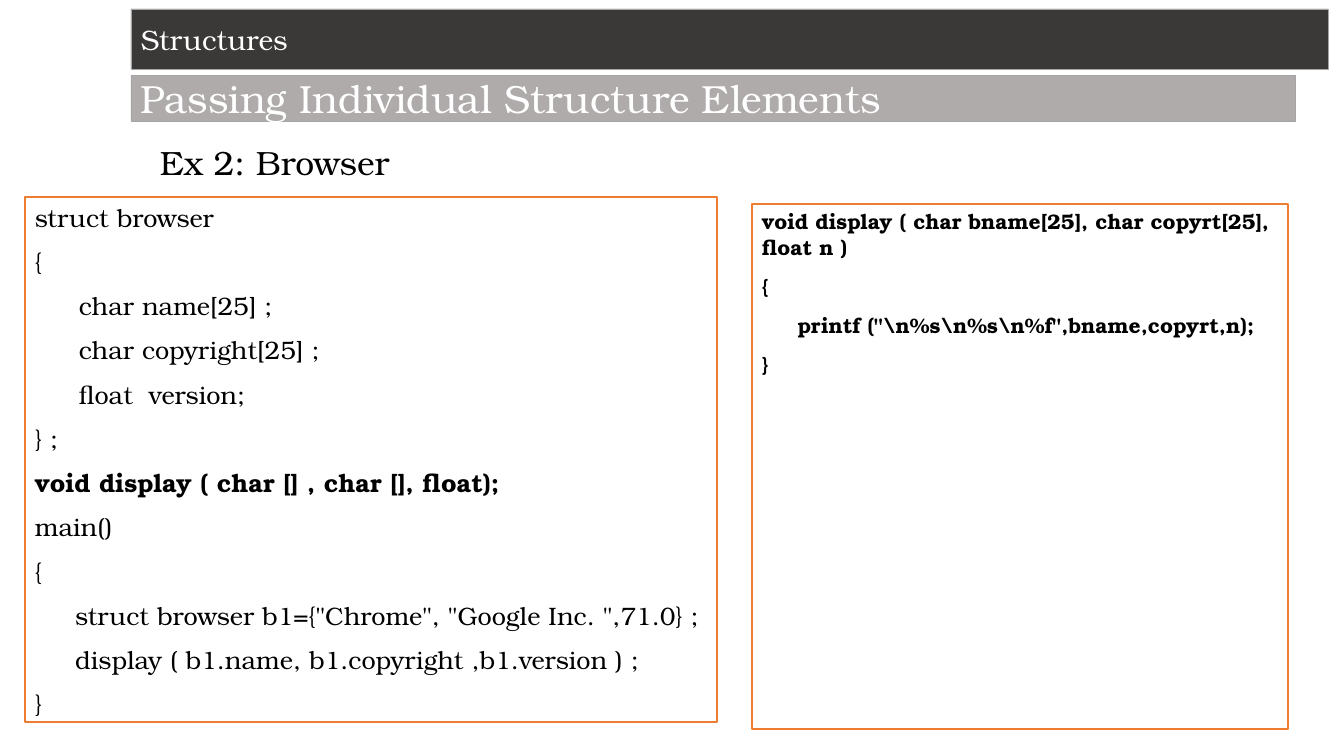
from dataclasses import dataclass

from pptx import Presentation
from pptx import util as u
from pptx.dml import color
from pptx.enum import shapes, text

PX = 914400 / 100.8


@dataclass(frozen=True)
class Theme:
    font: str = "TeX Gyre Bonum"
    ink: str = "000000"
    paper: str = "FFFFFF"
    dark: str = "3B3838"
    grey: str = "AFABAB"
    banner_line: str = "A5A5A5"
    panel_line: str = "ED7D31"
    chapter_size: int = 20
    topic_size: int = 28
    example_size: int = 24
    program_size: int = 18
    function_size: int = 15


THEME = Theme()


@dataclass(frozen=True)
class Line:
    text: str
    bold: bool = False
    indent: int = 0


@dataclass(frozen=True)
class Box:
    left: int
    top: int
    width: int
    height: int
    lines: tuple[Line, ...]
    size: int
    ink: str
    fill: str
    border: str
    border_width: float
    anchor: text.MSO_ANCHOR


def px(length: int) -> u.Emu:
    return u.Emu(round(length * PX))


def rgb(value: str) -> color.RGBColor:
    return color.RGBColor.from_string(value)


def panel(left: int, top: int, width: int, size: int, lines: tuple[Line, ...]) -> Box:
    return Box(left, top, width, 525, lines, size, THEME.ink, THEME.paper,
               THEME.panel_line, 1.25, text.MSO_ANCHOR.TOP)


def banner(top: int, width: int, height: int, size: int, fill: str, title: str) -> Box:
    return Box(131, top, width, height, (Line(title),), size, THEME.paper, fill,
               THEME.banner_line, 0.5, text.MSO_ANCHOR.MIDDLE)


def write_lines(frame, lines: tuple[Line, ...], size: int, ink: str) -> None:
    frame.word_wrap = True
    for index, line in enumerate(lines):
        paragraph = frame.add_paragraph() if index else frame.paragraphs[0]
        paragraph.text = line.text
        paragraph.alignment = text.PP_ALIGN.LEFT
        if index:
            paragraph.space_before = u.Pt(10)
        if line.indent:
            properties = paragraph._p.get_or_add_pPr()
            properties.set("marL", str(px(line.indent)))
            properties.set("indent", "0")
        paragraph.font.name = THEME.font
        paragraph.font.size = u.Pt(size)
        paragraph.font.bold = line.bold
        paragraph.font.color.rgb = rgb(ink)


def draw_box(slide, box: Box) -> None:
    shape = slide.shapes.add_shape(
        shapes.MSO_SHAPE.RECTANGLE,
        px(box.left), px(box.top), px(box.width), px(box.height))
    shape.shadow.inherit = False
    shape.fill.solid()
    shape.fill.fore_color.rgb = rgb(box.fill)
    shape.line.color.rgb = rgb(box.border)
    shape.line.width = u.Pt(box.border_width)
    shape.text_frame.vertical_anchor = box.anchor
    write_lines(shape.text_frame, box.lines, box.size, box.ink)


def draw_example_title(slide) -> None:
    shape = slide.shapes.add_textbox(px(150), px(137), px(983), px(50))
    write_lines(shape.text_frame, (Line("Ex 2: Browser"),), THEME.example_size, THEME.ink)


PROGRAM = (
    Line("struct browser"),
    Line("{"),
    Line("char name[25] ;", indent=44),
    Line("char copyright[25] ;", indent=44),
    Line("float  version;", indent=44),
    Line("} ;"),
    Line("void display ( char [] , char [], float);", bold=True),
    Line("main()"),
    Line("{"),
    Line('     struct browser b1={"Chrome", "Google Inc. ",71.0} ;'),
    Line("     display ( b1.name, b1.copyright ,b1.version ) ;"),
    Line("}"),
)
FUNCTION = (
    Line("void display ( char bname[25], char copyrt[25], float n )", bold=True),
    Line("{", bold=True),
    Line(r'     printf ("\n%s\n%s\n%f",bname,copyrt,n);', bold=True),
    Line("}", bold=True),
)
BOXES = (
    panel(25, 197, 692, THEME.program_size, PROGRAM),
    panel(752, 204, 536, THEME.function_size, FUNCTION),
    banner(9, 1197, 60, THEME.chapter_size, THEME.dark, "Structures"),
    banner(75, 1164, 46, THEME.topic_size, THEME.grey,
           "Passing Individual Structure Elements"),
)


def main() -> None:
    presentation = Presentation()
    presentation.slide_width = px(1344)
    presentation.slide_height = px(756)
    slide = presentation.slides.add_slide(presentation.slide_layouts[6])
    draw_example_title(slide)
    for box in BOXES:
        draw_box(slide, box)
    presentation.save("out.pptx")


if __name__ == "__main__":
    main()
